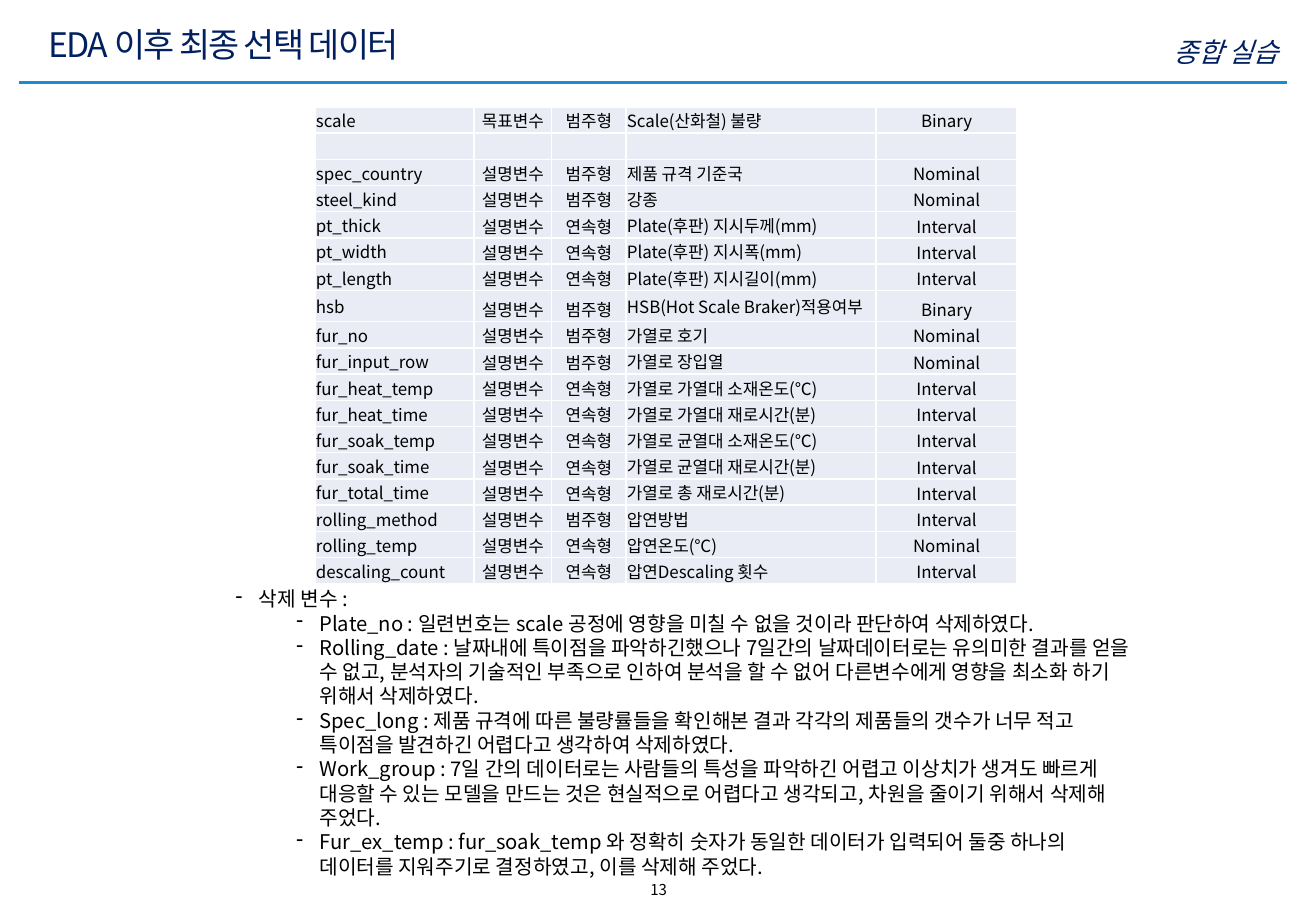
import pptx
import pptx.util
from lxml import etree
from pptx.dml.color import RGBColor
from pptx.enum.shapes import MSO_CONNECTOR
from pptx.enum.text import MSO_ANCHOR, PP_ALIGN
from pptx.oxml.ns import qn

FONT = "Noto Sans CJK KR"
COLORS = {"text": "000000", "heading": "002060", "rule": "188DD0",
          "cell": "E9EBF5", "border": "FFFFFF"}
LEFT, CENTER, RIGHT = PP_ALIGN.LEFT, PP_ALIGN.CENTER, PP_ALIGN.RIGHT

TARGET, INPUT = "목표변수", "설명변수"
CATEGORY, NUMBER = "범주형", "연속형"
VARIABLES = [
    ("scale", TARGET, CATEGORY, "Scale(산화철) 불량", "Binary"),
    ("",) * 5,
    ("spec_country", INPUT, CATEGORY, "제품 규격 기준국", "Nominal"),
    ("steel_kind", INPUT, CATEGORY, "강종", "Nominal"),
    ("pt_thick", INPUT, NUMBER, "Plate(후판) 지시두께(mm)", "Interval"),
    ("pt_width", INPUT, NUMBER, "Plate(후판) 지시폭(mm)", "Interval"),
    ("pt_length", INPUT, NUMBER, "Plate(후판) 지시길이(mm)", "Interval"),
    ("hsb", INPUT, CATEGORY, "HSB(Hot Scale Braker)적용여부", "Binary"),
    ("fur_no", INPUT, CATEGORY, "가열로 호기", "Nominal"),
    ("fur_input_row", INPUT, CATEGORY, "가열로 장입열", "Nominal"),
    ("fur_heat_temp", INPUT, NUMBER, "가열로 가열대 소재온도(℃)", "Interval"),
    ("fur_heat_time", INPUT, NUMBER, "가열로 가열대 재로시간(분)", "Interval"),
    ("fur_soak_temp", INPUT, NUMBER, "가열로 균열대 소재온도(℃)", "Interval"),
    ("fur_soak_time", INPUT, NUMBER, "가열로 균열대 재로시간(분)", "Interval"),
    ("fur_total_time", INPUT, NUMBER, "가열로 총 재로시간(분)", "Interval"),
    ("rolling_method", INPUT, CATEGORY, "압연방법", "Interval"),
    ("rolling_temp", INPUT, NUMBER, "압연온도(℃)", "Nominal"),
    ("descaling_count", INPUT, NUMBER, "압연Descaling 횟수", "Interval"),
]
COLUMN_WIDTHS = [12.1, 5.91, 5.63, 19.02, 10.71]
COLUMN_ALIGNS = [LEFT, CENTER, CENTER, LEFT, CENTER]
ROW_HEIGHTS = [3.44 if row[0] == "hsb" else 2.88 for row in VARIABLES]

DELETED = [
    "Plate_no : 일련번호는 scale 공정에 영향을 미칠 수 없을 것이라 판단하여 삭제하였다.",
    "Rolling_date : 날짜내에 특이점을 파악하긴했으나 7일간의 날짜데이터로는 유의미한 결과를 얻을 수 없고, "
    "분석자의 기술적인 부족으로 인하여 분석을 할 수 없어 다른변수에게 영향을 최소화 하기 위해서 삭제하였다.",
    "Spec_long : 제품 규격에 따른 불량률들을 확인해본 결과 각각의 제품들의 갯수가 너무 적고 "
    "특이점을 발견하긴 어렵다고 생각하여 삭제하였다.",
    "Work_group : 7일 간의 데이터로는 사람들의 특성을 파악하긴 어렵고 이상치가 생겨도 빠르게 "
    "대응할 수 있는 모델을 만드는 것은 현실적으로 어렵다고 생각되고, 차원을 줄이기 위해서 삭제해 주었다.",
    "Fur_ex_temp : fur_soak_temp 와 정확히 숫자가 동일한 데이터가 입력되어 둘중 하나의 "
    "데이터를 지워주기로 결정하였고, 이를 삭제해 주었다.",
]


def rgb(name):
    return RGBColor.from_string(COLORS[name])


class Deck:
    """Draws on one slide; lengths are percentages of its width and height."""

    def __init__(self, width, height):
        self.prs = pptx.Presentation()
        self.prs.slide_width = pptx.util.Inches(width)
        self.prs.slide_height = pptx.util.Inches(height)
        self.s = self.prs.slides.add_slide(self.prs.slide_layouts[6])

    def x(self, share):
        return round(self.prs.slide_width * share / 100)

    def y(self, share):
        return round(self.prs.slide_height * share / 100)

    def style(self, p, size, color="text", align=LEFT, italic=False, spacing=0):
        p.alignment = align
        p.font.size = pptx.util.Pt(size)
        p.font.name = FONT
        p.font.italic = italic
        p.font.color.rgb = rgb(color)
        props = p._p.pPr.find(qn("a:defRPr"))
        etree.SubElement(props, qn("a:ea"), typeface=FONT)
        if spacing:
            props.set("spc", str(spacing))

    def frame(self, x, y, w, h, anchor=MSO_ANCHOR.TOP):
        sp = self.s.shapes.add_textbox(self.x(x), self.y(y), self.x(w), self.y(h))
        tf = sp.text_frame
        tf.word_wrap = True
        tf.vertical_anchor = anchor
        return tf

    def text(self, text, x, y, w, h, size, anchor=MSO_ANCHOR.TOP, **style):
        p = self.frame(x, y, w, h, anchor).paragraphs[0]
        p.text = text
        self.style(p, size, **style)

    def bullets(self, items, x, y, w, h, size, leading):
        """Items are pairs of level and text."""
        tf = self.frame(x, y, w, h)
        for i, (level, text) in enumerate(items):
            p = tf.add_paragraph() if i else tf.paragraphs[0]
            p.text = text
            p.level = level
            p.line_spacing = pptx.util.Pt(leading)
            props = p._p.get_or_add_pPr()
            props.set("marL", str(pptx.util.Inches(0.19 + 0.5 * level)))
            props.set("indent", str(-pptx.util.Inches(0.19)))
            etree.SubElement(props, qn("a:buChar"), char="-")
            self.style(p, size)

    def rule(self, x1, x2, y, width):
        line = self.s.shapes.add_connector(
            MSO_CONNECTOR.STRAIGHT, self.x(x1), self.y(y), self.x(x2), self.y(y))
        line.line.color.rgb = rgb("rule")
        line.line.width = pptx.util.Pt(width)
        etree.SubElement(line._element.spPr, qn("a:effectLst"))

    def borders(self, cell):
        props = cell._tc.get_or_add_tcPr()
        for side in ("lnL", "lnR", "lnT", "lnB"):
            ln = etree.SubElement(props, qn("a:" + side), w=str(pptx.util.Pt(1)))
            fill = etree.SubElement(ln, qn("a:solidFill"))
            etree.SubElement(fill, qn("a:srgbClr"), val=COLORS["border"])

    def cell(self, cell, text, size, align, anchor):
        self.borders(cell)
        cell.fill.solid()
        cell.fill.fore_color.rgb = rgb("cell")
        cell.margin_left = cell.margin_right = cell.margin_top = pptx.util.Inches(0.01)
        cell.margin_bottom = 0
        cell.vertical_anchor = anchor
        p = cell.text_frame.paragraphs[0]
        p.text = text
        self.style(p, size, align=align)
        if not text:
            etree.SubElement(p._p, qn("a:endParaRPr"), sz=str(size * 100))

    def table(self, rows, x, y, widths, heights, aligns, size):
        table = self.s.shapes.add_table(
            len(rows), len(widths), self.x(x), self.y(y),
            self.x(sum(widths)), self.y(sum(heights))).table
        table.first_row = table.horz_banding = False
        for column, width in zip(table.columns, widths):
            column.width = self.x(width)
        for r, (row, height) in enumerate(zip(rows, heights)):
            table.rows[r].height = self.y(height)
            for c, (text, align) in enumerate(zip(row, aligns)):
                low = r > 0 and align == CENTER
                anchor = MSO_ANCHOR.BOTTOM if low else MSO_ANCHOR.MIDDLE
                self.cell(table.cell(r, c), text, size, align, anchor)


def main():
    deck = Deck(10.83, 7.5)
    deck.rule(1.48, 97.78, 9.07, 2)
    deck.text("13", 40.54, 96, 19.02, 3.33, 8.9, align=CENTER)
    deck.text("종합 실습", 60.48, 3.2, 37.58, 4, 16,
              color="heading", align=RIGHT, italic=True)
    deck.text("EDA 이후 최종 선택 데이터", 2.77, 1.87, 78.58, 5.87, 20,
              MSO_ANCHOR.MIDDLE, color="heading", spacing=-100)
    deck.table(VARIABLES, 23.92, 11.73, COLUMN_WIDTHS, ROW_HEIGHTS, COLUMN_ALIGNS, 10)
    deck.bullets([(0, "삭제 변수 :")] + [(1, text) for text in DELETED],
                 16.99, 63.73, 69.99, 36.27, 12, 14.4)
    deck.prs.save("out.pptx")


if __name__ == "__main__":
    main()
